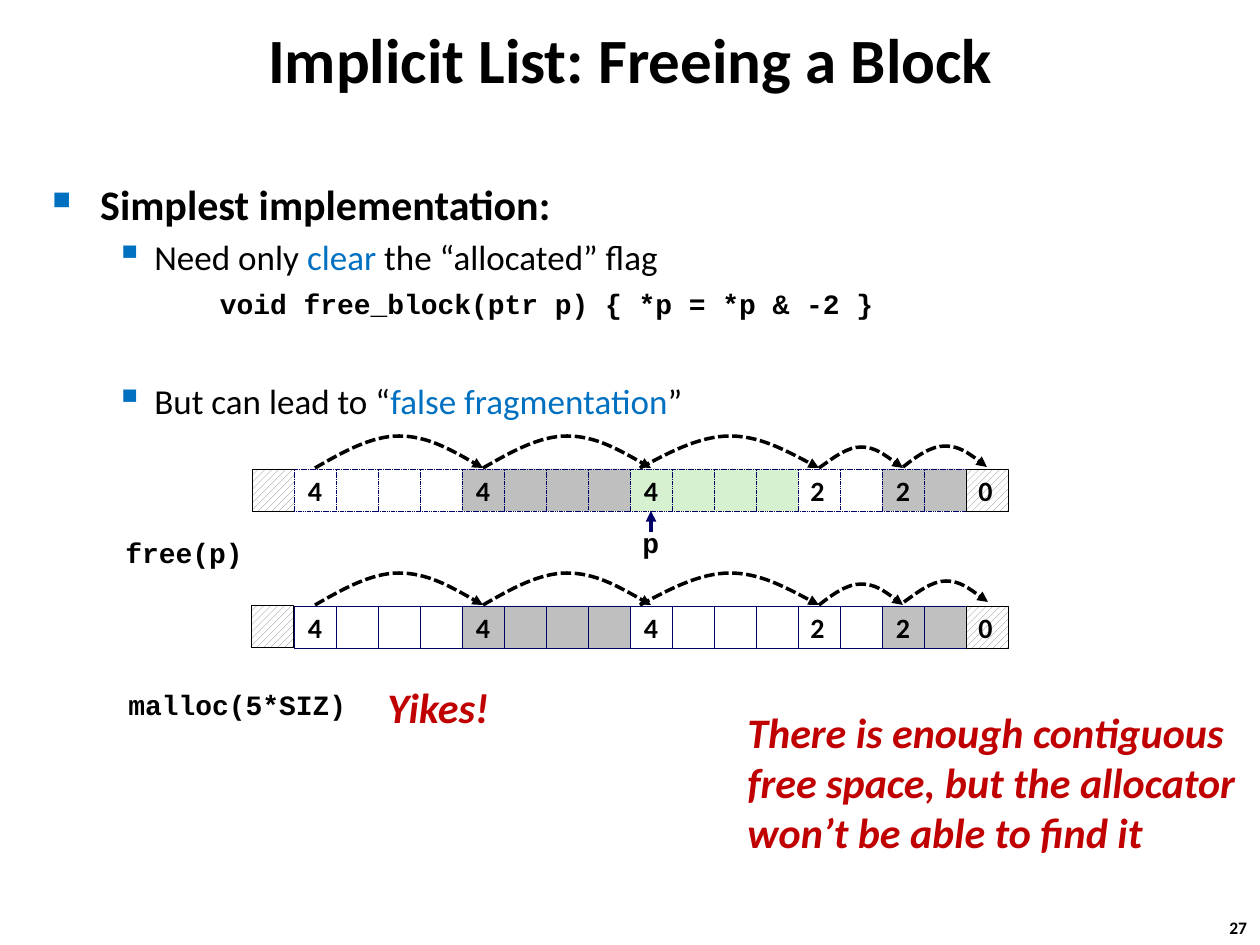
from itertools import accumulate

from pptx import Presentation
from pptx.dml.color import RGBColor
from pptx.enum.dml import MSO_LINE, MSO_PATTERN
from pptx.enum.shapes import MSO_CONNECTOR, MSO_SHAPE
from pptx.enum.text import MSO_ANCHOR as ANCHOR, PP_ALIGN as ALIGN
from pptx.oxml.ns import qn
from pptx.util import Inches, Pt

SCALE = 914400 / 126  # EMU per px
CELL = 42
ROW_X = 294

BLACK = RGBColor(0x00, 0x00, 0x00)
WHITE = RGBColor(0xFF, 0xFF, 0xFF)
GRAY = RGBColor(0xBF, 0xBF, 0xBF)
SILVER = RGBColor(0xC0, 0xC0, 0xC0)
HATCH = RGBColor(0x80, 0x80, 0x80)
GREEN = RGBColor(0xD5, 0xF1, 0xCF)
NAVY = RGBColor(0x00, 0x00, 0x66)
BLUE = RGBColor(0x00, 0x70, 0xC0)
RED = RGBColor(0xC0, 0x00, 0x00)

BOLD = {"name": "Calibri", "size": Pt(16), "bold": True}
CODE = BOLD | {"name": "Courier New"}
TITLE = BOLD | {"size": Pt(36)}
HEAD = BOLD | {"size": Pt(24)}
ITEM = HEAD | {"size": Pt(20), "bold": False}
REMARK = HEAD | {"italic": True}
NUMBER = BOLD | {"size": Pt(10)}


def px(*values):
    return [round(v * SCALE) for v in values]


def add_run(p, text, fmt, color=BLACK):
    r = p.add_run()
    r.text = text
    for name, value in fmt.items():
        setattr(r.font, name, value)
    r.font.color.rgb = color


def add_text(slide, box, lines, fmt, color=BLACK, wrap=False, **para):
    tf = slide.shapes.add_textbox(*px(*box)).text_frame
    tf.word_wrap = wrap
    for i, line in enumerate(lines):
        p = tf.add_paragraph() if i else tf.paragraphs[0]
        for name, value in para.items():
            setattr(p, name, value)
        add_run(p, line, fmt, color)
    return tf


def set_indent(p, left, hang, bullet=None, percent=100):
    pPr = p._p.get_or_add_pPr()
    pPr.set("marL", str(Inches(left)))
    pPr.set("indent", str(-Inches(hang)))
    if bullet:
        clr = pPr.makeelement(qn("a:buClr"), {})
        clr.append(clr.makeelement(qn("a:srgbClr"), {"val": str(BLUE)}))
        size = pPr.makeelement(qn("a:buSzPct"), {"val": str(percent * 1000)})
        char = pPr.makeelement(qn("a:buChar"), {"char": bullet})
        pPr.extend([clr, size, char])


def add_body(slide):
    top = (0.38, 0.38, "■", 60)
    sub = (0.81, 0.31, "▪", 110)
    code = (1.33, 0)
    # indent, space before, format, (text, colour) runs
    rows = [
        (top, 0, HEAD, [("Simplest implementation:", BLACK)]),
        (sub, 4, ITEM, [("Need only ", BLACK), ("clear", BLUE),
                        (" the “allocated” flag", BLACK)]),
        (code, 5, CODE, [("void free_block(ptr p) { *p = *p & -2 }", BLACK)]),
        (sub, 34, ITEM, [("But can lead to “", BLACK),
                         ("false fragmentation", BLUE), ("”", BLACK)]),
    ]
    tf = slide.shapes.add_textbox(*px(40, 172, 1145, 598)).text_frame
    tf.word_wrap = True
    for i, (indent, before, fmt, runs) in enumerate(rows):
        p = tf.add_paragraph() if i else tf.paragraphs[0]
        set_indent(p, *indent)
        p.space_before = Pt(before)
        for text, color in runs:
            add_run(p, text, fmt, color)


def add_cell(slide, x, y, fill=None, text="", align=ALIGN.CENTER, dash=None):
    """One word of the heap; hatched when no fill is given."""
    s = slide.shapes.add_shape(MSO_SHAPE.RECTANGLE, *px(x, y, CELL, CELL))
    s.shadow.inherit = False
    if fill is None:
        s.fill.patterned()
        s.fill.pattern = MSO_PATTERN.WIDE_UPWARD_DIAGONAL
        s.fill.fore_color.rgb = HATCH
        s.fill.back_color.rgb = WHITE
    else:
        s.fill.solid()
        s.fill.fore_color.rgb = fill
    s.line.color.rgb = BLACK if fill is None else NAVY
    s.line.width = Pt(0.25)
    if dash:
        s.line.dash_style = dash
    if text:
        tf = s.text_frame
        tf.word_wrap = False
        tf.vertical_anchor = ANCHOR.MIDDLE
        tf.paragraphs[0].alignment = align
        add_run(tf.paragraphs[0], text, BOLD)
    return s


def add_arrowhead(line):
    ln = line._get_or_add_ln()
    ln.append(ln.makeelement(qn("a:tailEnd"), {"type": "triangle"}))


def add_arc(slide, x1, x2, y, height):
    """Dashed arch made of two cubic curves that meet at the top."""
    w = x2 - x1
    steps = [(1, 0.5), (2, 1), (3, 1), (4, 1), (5, 0.5), (6, 0)]
    points = [(x1 + w * i / 6, y - height * rise) for i, rise in steps]
    fb = slide.shapes.build_freeform(x1, y, scale=SCALE)
    fb.add_line_segments(points, close=False)
    s = fb.convert_to_shape()
    s.shadow.inherit = False
    s.fill.background()
    s.line.color.rgb = BLACK
    s.line.width = Pt(2)
    s.line.dash_style = MSO_LINE.SQUARE_DOT
    add_arrowhead(s.line)
    # Turn each three straight segments into one curve
    segments = list(s._element.iter(qn("a:lnTo")))
    for i in range(0, len(segments), 3):
        curve = segments[i].makeelement(qn("a:cubicBezTo"), {})
        segments[i].addprevious(curve)
        for seg in segments[i:i + 3]:
            curve.append(seg[0])
            seg.getparent().remove(seg)


def add_heap(slide, y, third_fill, start, last_shift, dash=None):
    """Row of blocks with links; returns the first cell of each block."""
    sizes = [4, 4, 4, 2, 2]
    fills = [WHITE, GRAY, third_fill, WHITE, SILVER]
    offsets = list(accumulate(sizes, initial=0))
    heads = []
    add_cell(slide, *start)
    for b, (size, fill, offset) in enumerate(zip(sizes, fills, offsets)):
        align = ALIGN.LEFT if b == 3 else ALIGN.CENTER
        cells = [add_cell(slide, ROW_X + CELL * (offset + i), y, fill,
                          "" if i else str(size), align, dash)
                 for i in range(size)]
        heads.append(cells[0])
    add_cell(slide, ROW_X + CELL * offsets[-1], y, None, "0", ALIGN.LEFT)
    # Links between block heads
    centers = [ROW_X + CELL * o + CELL // 2 for o in offsets]
    for b, size in enumerate(sizes):
        dx, dy = last_shift if b == 4 else (0, 0)
        back = 11 if b == 2 else 0
        add_arc(slide, centers[b] - back + dx, centers[b + 1] + dx,
                y - 1 + dy, 32 if size == 4 else 21)
    return heads


def add_pointer(slide, cell):
    x, y = cell.left + cell.width // 2, cell.top + cell.height
    c = slide.shapes.add_connector(MSO_CONNECTOR.STRAIGHT, x, y + px(21)[0], x, y)
    c.end_connect(cell, 2)
    c.line.color.rgb = NAVY
    c.line.width = Pt(2)
    add_arrowhead(c.line)
    spPr = c._element.spPr
    spPr.append(spPr.makeelement(qn("a:effectLst"), {}))


def main():
    prs = Presentation()
    prs.slide_width, prs.slide_height = px(1260, 945)
    slide = prs.slides.add_slide(prs.slide_layouts[6])

    # Title, bullets and page number
    tf = add_text(slide, (134, 19, 993, 79), ["Implicit List: Freeing a Block"],
                  TITLE, wrap=True, alignment=ALIGN.CENTER)
    tf.vertical_anchor = ANCHOR.MIDDLE
    add_body(slide)
    add_text(slide, (1217, 911, 47, 34), ["27"], NUMBER)

    # Heap before and after the call of free
    before = add_heap(slide, 469, GREEN, (252, 469), (0, -1), MSO_LINE.SQUARE_DOT)
    add_heap(slide, 606, WHITE, (251, 605), (1, -3))
    add_pointer(slide, before[2])

    # Calls and remarks
    add_text(slide, (630, 522, 42, 45), ["p"], CODE, line_spacing=0.94)
    add_text(slide, (113, 532, 144, 45), ["free(p)"], CODE, line_spacing=0.94)
    add_text(slide, (116, 684, 246, 45), ["malloc(5*SIZ)"], CODE, line_spacing=0.94)
    add_text(slide, (375, 674, 127, 66), ["Yikes!"], REMARK, RED, line_spacing=1.02)
    add_text(slide, (735, 700, 518, 204),
             ["There is enough contiguous", "free space, but the allocator",
              "won’t be able to find it"], REMARK, RED)

    prs.save("out.pptx")


if __name__ == "__main__":
    main()
